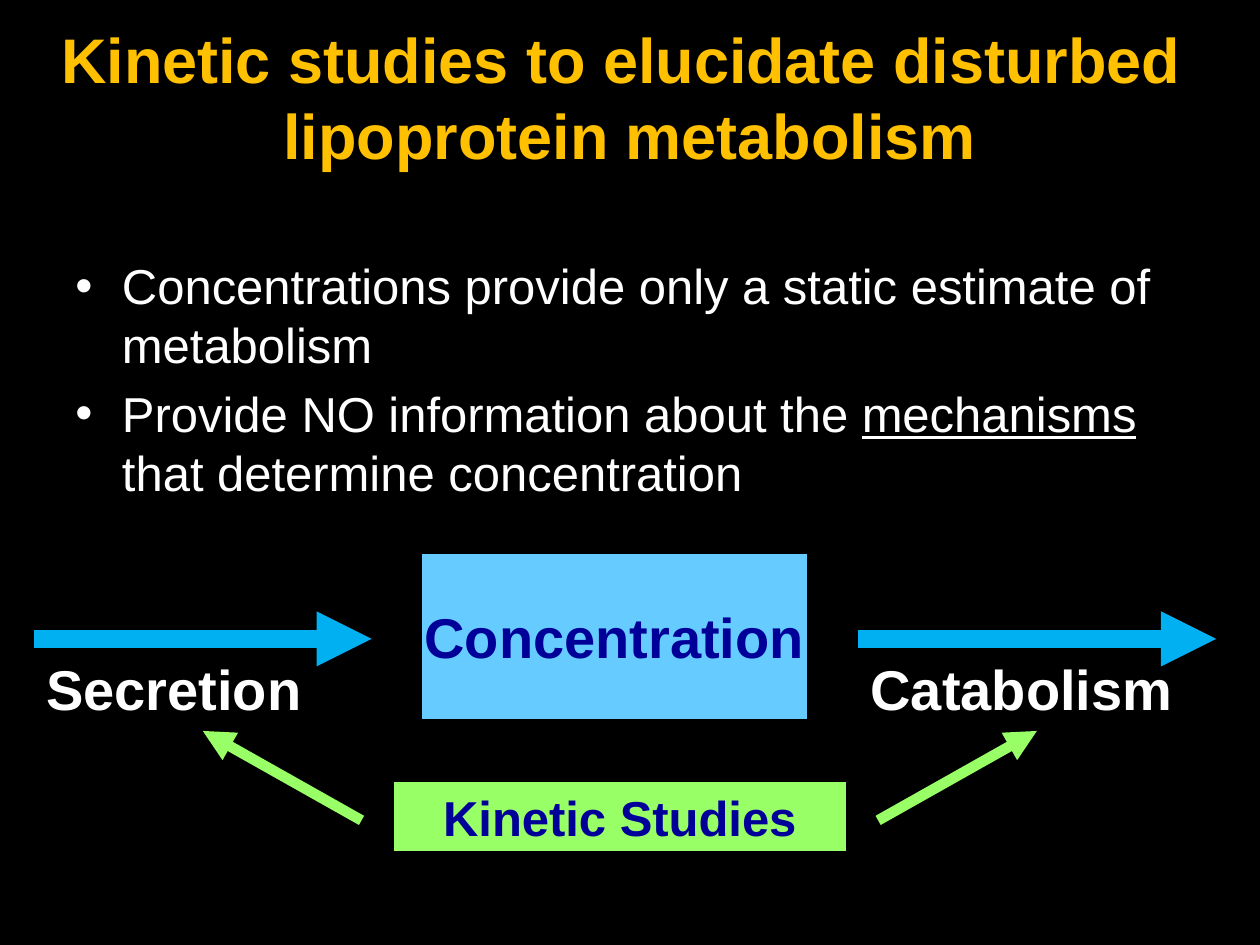
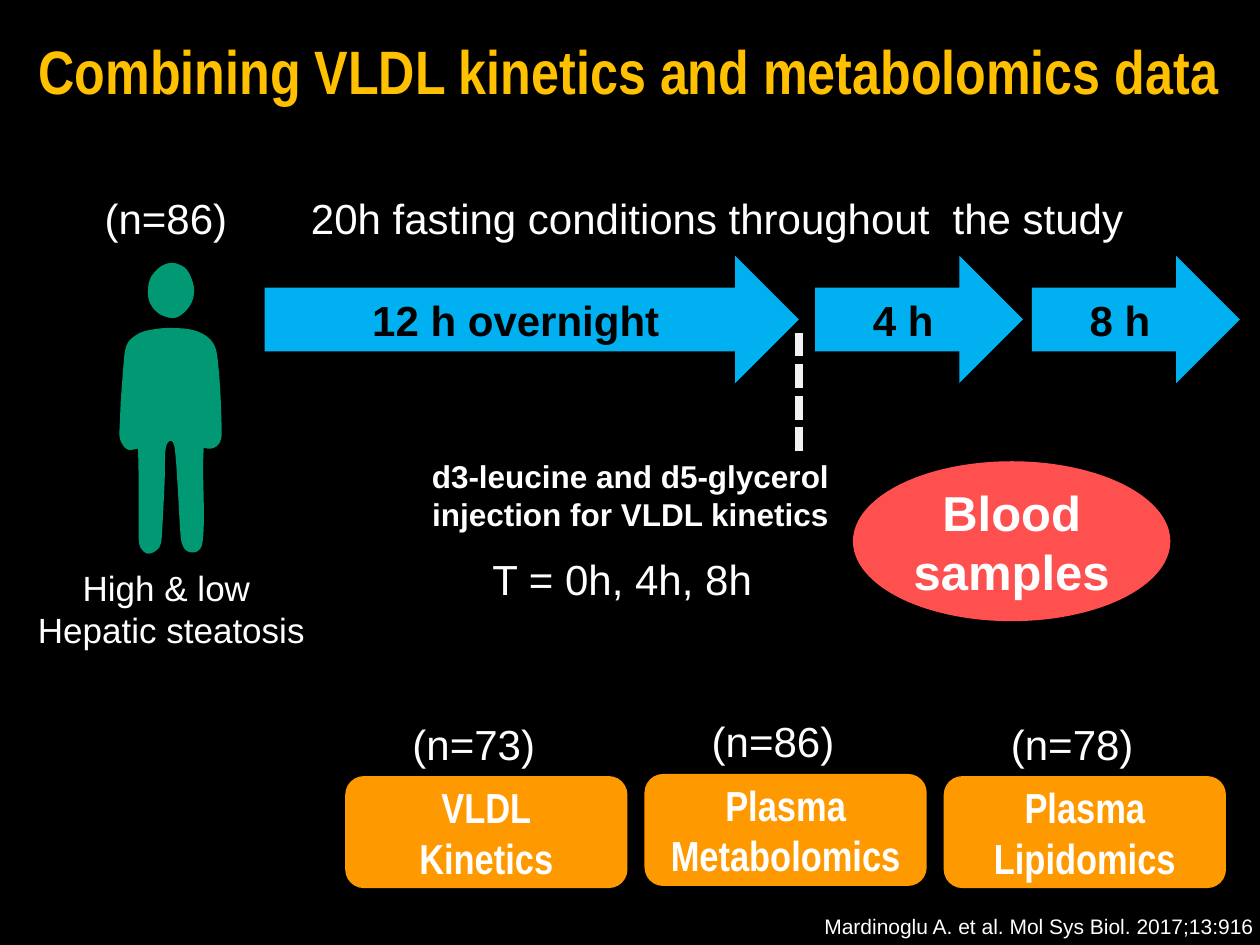
from collections import namedtuple
from dataclasses import dataclass

from lxml.etree import SubElement
from pptx import Presentation
from pptx.dml.color import RGBColor
from pptx.enum.shapes import MSO_CONNECTOR, MSO_SHAPE
from pptx.enum.text import MSO_ANCHOR, MSO_AUTO_SIZE, PP_ALIGN
from pptx.oxml.ns import qn
from pptx.util import Pt

Box = namedtuple("Box", "left top width height")


@dataclass(frozen=True)
class Theme:
    background: str = "000000"
    title: str = "FFC000"
    text: str = "FFFFFF"
    dark_text: str = "000000"
    navy: str = "000099"
    flow: str = "00B0F0"
    pool: str = "66CCFF"
    study: str = "99FF66"
    person: str = "009973"
    blood: str = "FF5050"
    card: str = "FF9900"
    marker: str = "F2F2F2"
    font: str = "Arial"
    narrow: str = "Arial Narrow"
    title_size: int = 36
    narrow_title_size: int = 35
    flow_size: int = 32
    body_size: int = 28
    label_size: int = 24
    caption_size: int = 20
    note_size: int = 18
    source_size: int = 12


THEME = Theme()
LEFT, CENTER, RIGHT = PP_ALIGN.LEFT, PP_ALIGN.CENTER, PP_ALIGN.RIGHT

HEAD = [
    (18, 8.6), (23.8, 2.2), (30.2, 0), (35.3, 1.4), (39.6, 4.3), (43.2, 13), (43.2, 19.4),
    (41, 25.2), (35.3, 31), (30.2, 32.4), (22.3, 29.5), (17.3, 23), (16.6, 15.8),
]
LEGS = [
    (11.5, 105.1), (11.5, 147.6), (11.5, 161.3), (13.7, 164.9), (16.6, 167), (20.9, 165.6),
    (24.5, 162), (25.2, 149.8), (26.6, 122.4), (26.6, 108.7), (27.4, 104.4), (28.8, 102.2),
    (31, 102.2), (32.4, 106.6), (33.8, 126.7), (35.3, 154.8), (36, 160.6), (38.2, 164.9),
    (42.5, 166.3), (46.1, 164.9), (48.2, 161.3), (49, 146.9), (48.2, 115.2), (49, 102.2),
    (48.2, 95), (41.8, 89.3), (31, 85), (20.2, 85.7), (10.1, 93.6), (9.4, 100.8),
]
TORSO = [
    (28.8, 37.4), (20.9, 38.2), (13.7, 39.6), (8.6, 42.5), (5, 46.1), (3.6, 51.1),
    (2.9, 58.3), (1.4, 77.8), (0.7, 93.6), (0.4, 100), (2.2, 104.4), (5, 107.3),
    (7.9, 107.3), (14.4, 105.8), (23.8, 100.8), (35.3, 99.4), (49, 106.6), (54.7, 106.6),
    (59, 102.2), (59, 93.6), (58.3, 73.4), (56.9, 56.2), (55.4, 47.5), (50.4, 41.8),
    (41.8, 38.2),
]


def within(box, left, top, width, height):
    return Box(box.left + left, box.top + top, width, height)


def in_points(box):
    return [Pt(length) for length in box]


def set_all(target, formats):
    for name, value in formats.items():
        setattr(target, name, value)


def style_font(font, size, color=THEME.text, name=THEME.font, bold=False):
    set_all(font, {"size": Pt(size), "name": name, "bold": bold})
    font.color.rgb = RGBColor.from_string(color)


def write(shape, lines, size, align=CENTER, wrap=True, anchor=MSO_ANCHOR.MIDDLE,
          fit=MSO_AUTO_SIZE.NONE, **font):
    frame = shape.text_frame
    set_all(frame, {"word_wrap": wrap, "vertical_anchor": anchor, "auto_size": fit})
    for index, line in enumerate(lines):
        paragraph = frame.add_paragraph() if index else frame.paragraphs[0]
        paragraph.text = line
        paragraph.alignment = align
        for run in paragraph.runs:
            style_font(run.font, size, **font)


def add_label(slide, box, lines, size, align=LEFT, wrap=False, **font):
    shape = slide.shapes.add_textbox(*in_points(box))
    write(shape, lines, size, align, wrap, MSO_ANCHOR.TOP, MSO_AUTO_SIZE.SHAPE_TO_FIT_TEXT, **font)


def add_title(slide, box, text, size, name):
    shape = slide.shapes.add_textbox(*in_points(box))
    write(shape, [text], size, color=THEME.title, name=name, bold=True)


def paint(shape, fill, outline=None):
    shape.shadow.inherit = False
    shape.fill.solid()
    shape.fill.fore_color.rgb = RGBColor.from_string(fill)
    if outline:
        shape.line.color.rgb = RGBColor.from_string(outline)
        shape.line.width = Pt(2.25)
    else:
        shape.line.fill.background()


def add_block(slide, kind, box, fill, outline=None):
    shape = slide.shapes.add_shape(kind, *in_points(box))
    paint(shape, fill, outline)
    return shape


def add_line(slide, box, start, end, color, width, ending, value):
    points = [Pt(corner + offset) for point in (start, end)
              for corner, offset in zip((box.left, box.top), point)]
    connector = slide.shapes.add_connector(MSO_CONNECTOR.STRAIGHT, *points)
    connector.line.color.rgb = RGBColor.from_string(color)
    connector.line.width = Pt(width)
    properties = connector._element.spPr
    attribute = "type" if ending == "a:tailEnd" else "val"
    SubElement(properties.find(qn("a:ln")), qn(ending)).set(attribute, value)
    SubElement(properties, qn("a:effectLst"))


def add_bullets(slide, box, items):
    frame = slide.shapes.add_textbox(*in_points(box)).text_frame
    frame.word_wrap = True
    for index, runs in enumerate(items):
        paragraph = frame.add_paragraph() if index else frame.paragraphs[0]
        if index:
            paragraph.space_before = Pt(5.6)
        properties = paragraph._p.get_or_add_pPr()
        properties.set("marL", str(Pt(26.64)))
        properties.set("indent", str(Pt(-26.64)))
        bullet_color = SubElement(properties, qn("a:buClr"))
        SubElement(bullet_color, qn("a:srgbClr")).set("val", THEME.text)
        SubElement(properties, qn("a:buFont")).set("typeface", THEME.font)
        SubElement(properties, qn("a:buChar")).set("char", "•")
        for text, underline in runs:
            run = paragraph.add_run()
            run.text = text
            style_font(run.font, THEME.body_size)
            run.font.underline = underline


def add_flow(slide, box):
    pool = add_block(slide, MSO_SHAPE.RECTANGLE, within(box, 220.5, 0, 222.5, 96.5),
                     THEME.pool, THEME.background)
    write(pool, ["Concentration"], THEME.flow_size, wrap=False, color=THEME.navy, bold=True)
    for name, left, length, width in (("Secretion", 0, 193, 166), ("Catabolism", 471, 204.5, 197)):
        add_line(slide, box, (left, 49.7), (left + length, 49.7), THEME.flow, 10.5,
                 "a:tailEnd", "triangle")
        add_label(slide, within(box, left, 55, width, 46), [name], THEME.flow_size, bold=True)
    study = add_block(slide, MSO_SHAPE.RECTANGLE, within(box, 204.5, 130.3, 260.6, 41.8),
                      THEME.study, THEME.background)
    write(study, ["Kinetic Studies"], THEME.body_size, color=THEME.navy, bold=True)
    middle = 334.8
    for side in (-1, 1):
        add_line(slide, box, (middle + side * 147.6, 153.4), (middle + side * 238.3, 102.3),
                 THEME.study, 6, "a:tailEnd", "triangle")


def smooth(points, rounds=2):
    for _ in range(rounds):
        pairs = zip(points, points[1:] + points[:1])
        points = [tuple(a + (b - a) * share for a, b in zip(start, end))
                  for start, end in pairs for share in (0.25, 0.75)]
    return points


def add_person(slide, box):
    for outline in (HEAD, LEGS, TORSO):
        points = [(Pt(x), Pt(y)) for x, y in smooth(outline)]
        builder = slide.shapes.build_freeform(*points[0])
        builder.add_line_segments(points[1:], close=True)
        paint(builder.convert_to_shape(Pt(box.left), Pt(box.top)), THEME.person)


def add_subjects(slide, box):
    add_label(slide, within(box, 39, 0, 85.7, 36), ["(n=86)"], THEME.label_size)
    add_person(slide, within(box, 54, 43.2, 59, 167))
    add_label(slide, within(box, 0, 213.8, 168.5, 55.4), ["High & low ", "Hepatic steatosis"],
              THEME.caption_size, CENTER)


def add_timeline(slide, box):
    add_label(slide, within(box, 19.4, 0, 483.8, 36),
              ["20h fasting conditions throughout  the study"], THEME.label_size)
    for text, left, width in (("12 h overnight", 0, 305.3), ("4 h", 314.6, 118.8),
                              ("8 h", 438.5, 118.8)):
        arrow = add_block(slide, MSO_SHAPE.RIGHT_ARROW, within(box, left, 39.6, width, 72.7),
                          THEME.flow)
        write(arrow, [text], THEME.label_size, color=THEME.dark_text, bold=True)
    add_line(slide, box, (305.3, 151.2), (305.3, 80.6), THEME.marker, 4.5, "a:prstDash", "sysDash")
    add_label(slide, within(box, 87.1, 151.2, 244, 51),
              ["d3-leucine and d5-glycerol", "injection for VLDL kinetics"],
              THEME.note_size, CENTER, bold=True)
    add_label(slide, within(box, 123.1, 206, 164.2, 36), ["T = 0h, 4h, 8h"], THEME.label_size)
    blood = add_block(slide, MSO_SHAPE.OVAL, within(box, 336.2, 157, 181.4, 91.4), THEME.blood)
    write(blood, ["Blood samples"], THEME.body_size, bold=True)


def add_data_cards(slide, box):
    cards = [("(n=73)", ["VLDL", "Kinetics"], 0),
             ("(n=86)", ["Plasma", "Metabolomics"], 1.2),
             ("(n=78)", ["Plasma", "Lipidomics"], 0)]
    card_width = 161.3
    step = (box.width - card_width) / (len(cards) - 1)
    for index, (count, lines, lift) in enumerate(cards):
        card_box = within(box, index * step, 36.7 - lift, card_width, 64)
        card = add_block(slide, MSO_SHAPE.ROUNDED_RECTANGLE, card_box, THEME.card)
        write(card, lines, THEME.label_size, name=THEME.narrow, bold=True)
        add_label(slide, within(card_box, 31.3, -36.7, 85.7, 36), [count], THEME.label_size)


def add_blank_slide(presentation):
    slide = presentation.slides.add_slide(presentation.slide_layouts[6])
    slide.background.fill.solid()
    slide.background.fill.fore_color.rgb = RGBColor.from_string(THEME.background)
    return slide


def build_rationale_slide(presentation):
    slide = add_blank_slide(presentation)
    add_bullets(slide, Box(36, 142.6, 648, 150.5), [
        [("Concentrations provide only a static estimate of metabolism", False)],
        [("Provide NO information about the ", False), ("mechanisms", True),
         (" that determine concentration", False)],
    ])
    add_flow(slide, Box(19.4, 315.4, 675.5, 172))
    add_title(slide, Box(0, 10, 720, 90),
              "Kinetic studies to elucidate disturbed \vlipoprotein metabolism",
              THEME.title_size, THEME.font)


def build_design_slide(presentation):
    slide = add_blank_slide(presentation)
    add_title(slide, Box(-23.8, -9.4, 766.8, 98.6),
              "Combining VLDL kinetics and metabolomics data",
              THEME.narrow_title_size, THEME.narrow)
    add_subjects(slide, Box(13.7, 106.6, 168.5, 269))
    add_timeline(slide, Box(151.2, 106.6, 557.3, 248.4))
    add_data_cards(slide, Box(197.3, 406.8, 503.3, 100.7))
    add_label(slide, Box(277.9, 518.4, 445.7, 21.6),
              ["Mardinoglu A. et al. Mol Sys Biol. 2017;13:916"],
              THEME.source_size, RIGHT, wrap=True)


def main():
    presentation = Presentation()
    set_all(presentation, {"slide_width": Pt(720), "slide_height": Pt(540)})
    build_rationale_slide(presentation)
    build_design_slide(presentation)
    presentation.save("out.pptx")


if __name__ == "__main__":
    main()
